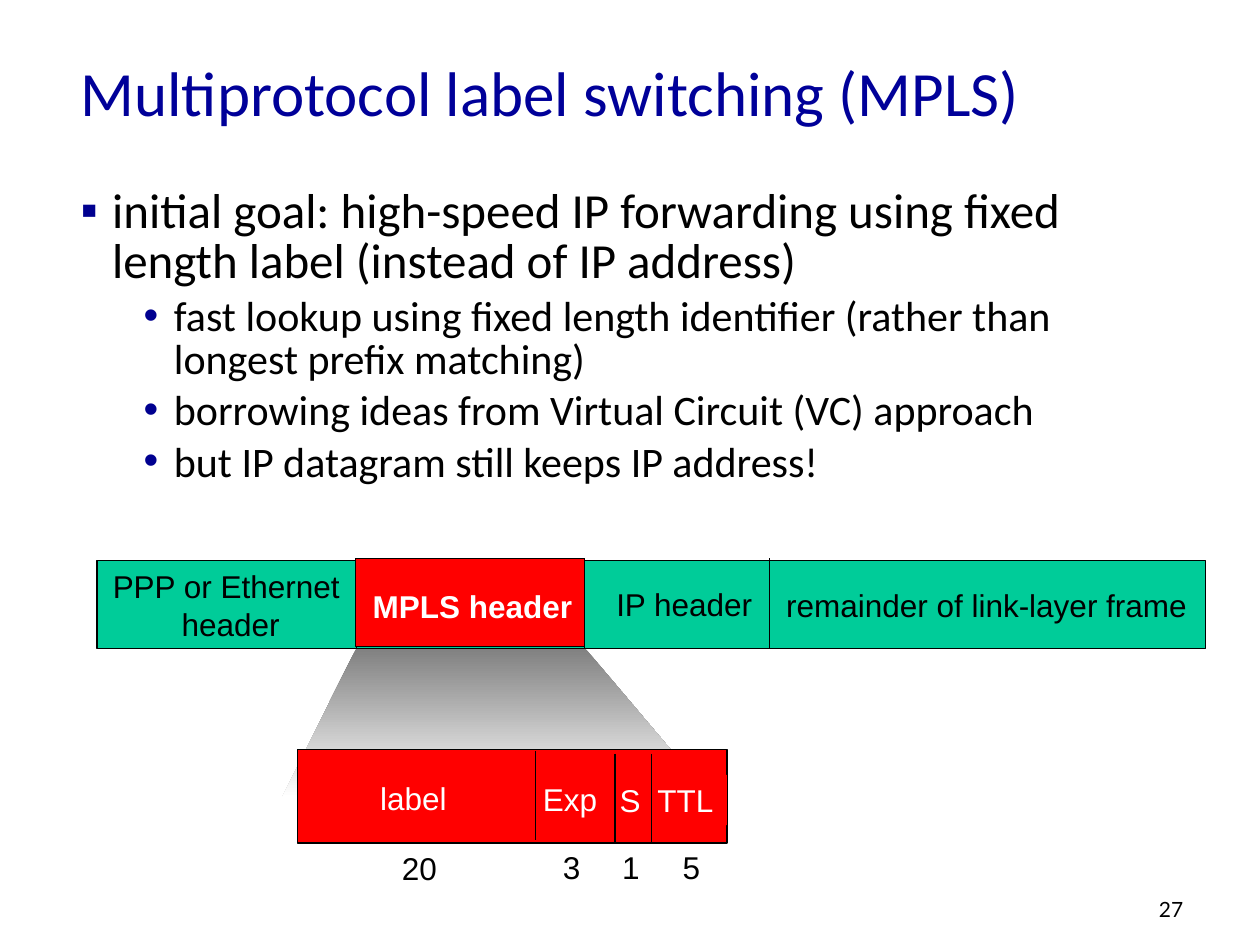
from dataclasses import dataclass

from lxml.etree import SubElement
from pptx import Presentation
from pptx.dml.color import RGBColor
from pptx.enum.shapes import MSO_CONNECTOR, MSO_SHAPE
from pptx.enum.text import MSO_ANCHOR, MSO_AUTO_SIZE, PP_ALIGN
from pptx.oxml.ns import qn
from pptx.util import Pt


@dataclass(frozen=True)
class Theme:
    title: RGBColor = RGBColor(0x00, 0x00, 0x99)
    bullet: str = "000090"
    black: RGBColor = RGBColor(0x00, 0x00, 0x00)
    white: RGBColor = RGBColor(0xFF, 0xFF, 0xFF)
    gray: RGBColor = RGBColor(0x80, 0x80, 0x80)
    green: RGBColor = RGBColor(0x00, 0xCC, 0x99)
    red: RGBColor = RGBColor(0xFF, 0x00, 0x00)
    text_font: str = "Calibri"
    diagram_font: str = "Arial"
    number_font: str = "Lato"
    title_size: int = 36
    label_size: int = 18
    number_size: int = 12
    line_width: float = 0.75


THEME = Theme()


@dataclass(frozen=True)
class Level:
    size: int
    margin: float
    indent: float
    bullet: str


LEVELS = (Level(28, 18, -18, "▪"), Level(24, 53.3, -17.3, "•"))

BODY = (
    (0, "initial goal: high-speed IP forwarding using fixed length label (instead of IP address)"),
    (1, "fast lookup using fixed length identifier (rather than longest prefix matching)"),
    (1, "borrowing ideas from Virtual Circuit (VC) approach"),
    (1, "but IP datagram still keeps IP address!"),
)


@dataclass(frozen=True)
class Box:
    left: float
    top: float
    width: float
    height: float = 28.8

    def lengths(self):
        return Pt(self.left), Pt(self.top), Pt(self.width), Pt(self.height)


@dataclass(frozen=True)
class Label:
    text: str
    box: Box
    color: RGBColor = THEME.black
    fill: RGBColor | None = None
    bold: bool = False
    align: PP_ALIGN = PP_ALIGN.LEFT
    font: str = THEME.diagram_font
    size: int = THEME.label_size
    fitted: bool = True


@dataclass(frozen=True)
class Divider:
    x: float
    top: float
    bottom: float


TITLE_BOX = Box(38.9, 15.1, 612, 74.2)
BODY_BOX = Box(38.9, 104.4, 612, 365.8)
FRAME_BOX = Box(55.4, 320.4, 633.6, 50.4)
MPLS_BOX = Box(203, 319, 131, 50.4)
FIELDS_BOX = Box(169.9, 428.4, 245.5, 53.3)
ZOOM_OUTLINE = ((203.8, 370.1), (161.3, 455.4), (406.1, 455.4), (334.1, 370.1))

FRAME_LABELS = (
    Label("PPP or Ethernet \nheader", Box(56.9, 320.4, 149.8, 50.4), align=PP_ALIGN.CENTER),
    Label("IP header", Box(344.9, 330.5, 92.2), align=PP_ALIGN.CENTER),
    Label("remainder of link-layer frame", Box(442.1, 331.2, 243.4)),
)
MPLS_LABEL = Label("MPLS header", Box(205.9, 331.9, 128.2), THEME.white, bold=True,
                   align=PP_ALIGN.CENTER)
FIELD_LABELS = tuple(
    Label(text, Box(left, top, width), THEME.white, THEME.red)
    for text, left, top, width in (
        ("label", 210.2, 441.4, 52.6),
        ("Exp", 303.1, 442.1, 45.4),
        ("S", 347, 442.8, 26.6),
        ("TTL", 368.6, 442.8, 46.8),
    )
)
BIT_LABELS = (
    Label("20", Box(222.5, 481.7, 34.6)),
    *(Label(text, Box(left, 481, 24.5))
      for text, left in (("3", 314.6), ("1", 348.5), ("5", 383))),
)
SLIDE_NUMBER = Label("27", Box(655.2, 509, 53.3, 21.6), font=THEME.number_font,
                     size=THEME.number_size, fitted=False)

FRAME_DIVIDERS = (Divider(203.8, 319.7, 370.8), Divider(334.1, 319, 370.1),
                  Divider(439.9, 319, 370.8))
FIELD_DIVIDERS = (Divider(306, 429.1, 480.2), Divider(351.4, 430.6, 482.4),
                  Divider(372.2, 430.6, 481.7))


def format_runs(paragraph, font: str, size: float, color: RGBColor, bold: bool = False) -> None:
    for run in paragraph.runs:
        run.font.name = font
        run.font.size = Pt(size)
        run.font.color.rgb = color
        run.font.bold = bold


def place(shape, box: Box) -> None:
    shape.left, shape.top, shape.width, shape.height = box.lengths()


def fill_title(shape) -> None:
    place(shape, TITLE_BOX)
    frame = shape.text_frame
    frame.text = "Multiprotocol label switching (MPLS)"
    frame.auto_size = MSO_AUTO_SIZE.NONE
    frame.vertical_anchor = MSO_ANCHOR.MIDDLE
    frame.paragraphs[0].alignment = PP_ALIGN.LEFT
    format_runs(frame.paragraphs[0], THEME.text_font, THEME.title_size, THEME.title)


def set_bullet(paragraph, level: Level) -> None:
    properties = paragraph._p.get_or_add_pPr()
    properties.set("marL", str(Pt(level.margin)))
    properties.set("indent", str(Pt(level.indent)))
    color = SubElement(properties, qn("a:buClr"))
    SubElement(color, qn("a:srgbClr"), val=THEME.bullet)
    SubElement(properties, qn("a:buFont"), typeface=THEME.diagram_font)
    SubElement(properties, qn("a:buChar"), char=level.bullet)


def fill_body(shape) -> None:
    place(shape, BODY_BOX)
    frame = shape.text_frame
    frame.text = "\n".join(text for _, text in BODY)
    frame.auto_size = MSO_AUTO_SIZE.NONE
    for paragraph, (depth, _) in zip(frame.paragraphs, BODY):
        level = LEVELS[depth]
        paragraph.level = depth
        paragraph.line_spacing = 0.85
        paragraph.space_before = Pt(0.2 * level.size)
        set_bullet(paragraph, level)
        format_runs(paragraph, THEME.text_font, level.size, THEME.black)


def draw_box(slide, box: Box, fill: RGBColor) -> None:
    shape = slide.shapes.add_shape(MSO_SHAPE.RECTANGLE, *box.lengths())
    shape.shadow.inherit = False
    shape.fill.solid()
    shape.fill.fore_color.rgb = fill
    shape.line.color.rgb = THEME.black
    shape.line.width = Pt(THEME.line_width)


def draw_label(slide, label: Label) -> None:
    shape = slide.shapes.add_textbox(*label.box.lengths())
    if label.fill is not None:
        shape.fill.solid()
        shape.fill.fore_color.rgb = label.fill
    frame = shape.text_frame
    frame.text = label.text
    frame.word_wrap = not label.fitted
    frame.auto_size = MSO_AUTO_SIZE.SHAPE_TO_FIT_TEXT if label.fitted else MSO_AUTO_SIZE.NONE
    for paragraph in frame.paragraphs:
        paragraph.alignment = label.align
        format_runs(paragraph, label.font, label.size, label.color, label.bold)


def draw_divider(slide, divider: Divider) -> None:
    x = Pt(divider.x)
    line = slide.shapes.add_connector(
        MSO_CONNECTOR.STRAIGHT, x, Pt(divider.top), x, Pt(divider.bottom))
    line.line.color.rgb = THEME.black
    line.line.width = Pt(THEME.line_width)
    SubElement(line._element.spPr, qn("a:effectLst"))


def draw_zoom(slide) -> None:
    """Draw the shaded wedge from the MPLS header down to its fields."""
    start, *others = [(Pt(x), Pt(y)) for x, y in ZOOM_OUTLINE]
    builder = slide.shapes.build_freeform(*start)
    builder.add_line_segments(others, close=True)
    shape = builder.convert_to_shape()
    shape.shadow.inherit = False
    shape.line.fill.background()
    shape.fill.gradient()
    shape.fill.gradient_angle = 270
    for stop, color in zip(shape.fill.gradient_stops, (THEME.gray, THEME.white)):
        stop.color.rgb = color


def main() -> None:
    presentation = Presentation()
    presentation.slide_width, presentation.slide_height = Pt(720), Pt(540)
    slide = presentation.slides.add_slide(presentation.slide_layouts[1])
    fill_title(slide.shapes.title)
    fill_body(slide.placeholders[1])

    draw_zoom(slide)
    draw_box(slide, FRAME_BOX, THEME.green)
    for label in FRAME_LABELS:
        draw_label(slide, label)
    for divider in FRAME_DIVIDERS:
        draw_divider(slide, divider)
    draw_box(slide, MPLS_BOX, THEME.red)
    draw_label(slide, MPLS_LABEL)

    draw_box(slide, FIELDS_BOX, THEME.red)
    for label in FIELD_LABELS:
        draw_label(slide, label)
    for divider in FIELD_DIVIDERS:
        draw_divider(slide, divider)
    for label in (*BIT_LABELS, SLIDE_NUMBER):
        draw_label(slide, label)

    presentation.save("out.pptx")


if __name__ == "__main__":
    main()
